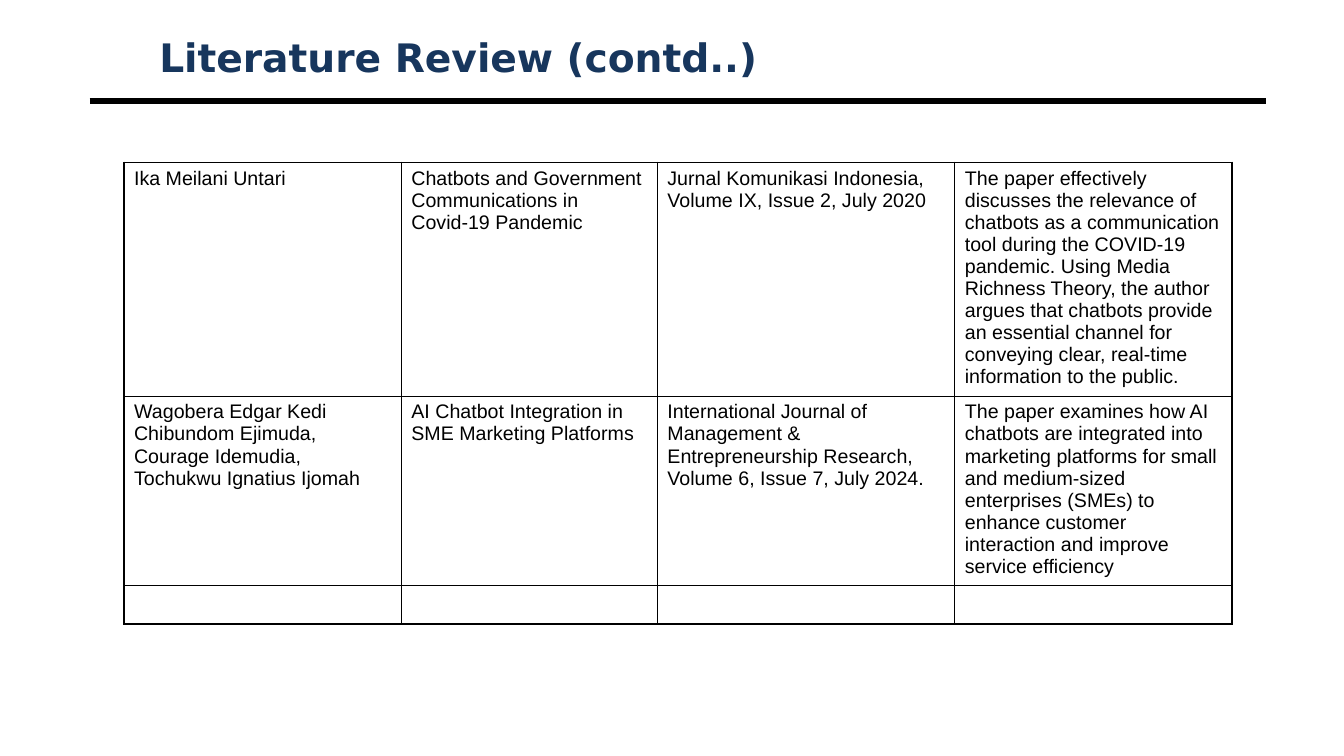
from lxml import etree
from pptx import Presentation
from pptx.dml.color import RGBColor
from pptx.enum.shapes import MSO_CONNECTOR
from pptx.enum.text import MSO_ANCHOR, MSO_AUTO_SIZE, PP_ALIGN
from pptx.oxml.ns import qn
from pptx.util import Inches, Pt

STRAIGHT = MSO_CONNECTOR.STRAIGHT
MIDDLE = MSO_ANCHOR.MIDDLE
NO_FIT = MSO_AUTO_SIZE.NONE
LEFT = PP_ALIGN.LEFT

BLACK = "000000"
NAVY = "17365D"
COLS = [2.75, 2.54, 2.95, 2.75]
ROWS = [2.32, 1.88, 0.32]
PAPERS = [
    [
        "Ika Meilani Untari",
        "Chatbots and Government Communications in Covid-19 Pandemic",
        "Jurnal Komunikasi Indonesia, Volume IX, Issue 2, July 2020",
        "The paper effectively discusses the relevance of chatbots as a "
        "communication tool during the COVID-19 pandemic. Using Media "
        "Richness Theory, the author argues that chatbots provide an "
        "essential channel for conveying clear, real-time information "
        "to the public.",
    ],
    [
        "Wagobera Edgar Kedi Chibundom Ejimuda, Courage Idemudia, "
        "Tochukwu Ignatius Ijomah",
        "AI Chatbot Integration in SME Marketing Platforms",
        "International Journal of Management & Entrepreneurship Research, "
        "Volume 6, Issue 7, July 2024.",
        "The paper examines how AI chatbots are integrated into marketing "
        "platforms for small and medium-sized enterprises (SMEs) to enhance "
        "customer interaction and improve service efficiency",
    ],
    [""] * len(COLS),
]


def color(code):
    return RGBColor.from_string(code)


def write(frame, text, size=14, font="Arial", fill=BLACK, bold=False):
    para = frame.paragraphs[0]
    para.alignment = LEFT
    run = para.add_run()
    run.text = text
    run.font.size = Pt(size)
    run.font.name = font
    run.font.bold = bold
    run.font.color.rgb = color(fill)


def add_title(slide, text):
    title = slide.shapes.title
    title.left, title.top = Inches(1.48), Inches(0.3)
    title.width, title.height = Inches(11.67), Inches(0.53)
    frame = title.text_frame
    frame.word_wrap = True
    frame.auto_size = NO_FIT
    frame.vertical_anchor = MIDDLE
    write(frame, text, size=28, font="DejaVu Sans", fill=NAVY, bold=True)


def add_rule(slide, left, right, top, width):
    rule = slide.shapes.add_connector(
        STRAIGHT, Inches(left), Inches(top), Inches(right), Inches(top))
    rule.line.color.rgb = color(BLACK)
    rule.line.width = Pt(width)
    etree.SubElement(rule._element.spPr, qn("a:effectLst"))


def add_edges(cell):
    props = cell._tc.get_or_add_tcPr()
    for index, side in enumerate(("lnL", "lnR", "lnT", "lnB")):
        edge = etree.Element(qn(f"a:{side}"), w=str(Pt(1)))
        fill = etree.SubElement(edge, qn("a:solidFill"))
        etree.SubElement(fill, qn("a:srgbClr"), val=BLACK)
        props.insert(index, edge)


def add_grid(slide, left, top):
    table = slide.shapes.add_table(
        len(ROWS), len(COLS), Inches(left), Inches(top),
        Inches(sum(COLS)), Inches(sum(ROWS))).table
    table.first_row = False
    table.horz_banding = False
    for col, width in zip(table.columns, COLS):
        col.width = Inches(width)
    for row, height, texts in zip(table.rows, ROWS, PAPERS):
        row.height = Inches(height)
        for cell, text in zip(row.cells, texts):
            cell.fill.background()
            add_edges(cell)
            write(cell.text_frame, text)


def main():
    deck = Presentation()
    deck.slide_width, deck.slide_height = Inches(13.33), Inches(7.5)
    slide = deck.slides.add_slide(deck.slide_layouts[5])
    add_rule(slide, 0.89, 12.56, 1, 4.5)
    add_title(slide, "Literature Review (contd..)")
    add_grid(slide, 1.23, 1.61)
    deck.save("out.pptx")


if __name__ == "__main__":
    main()
